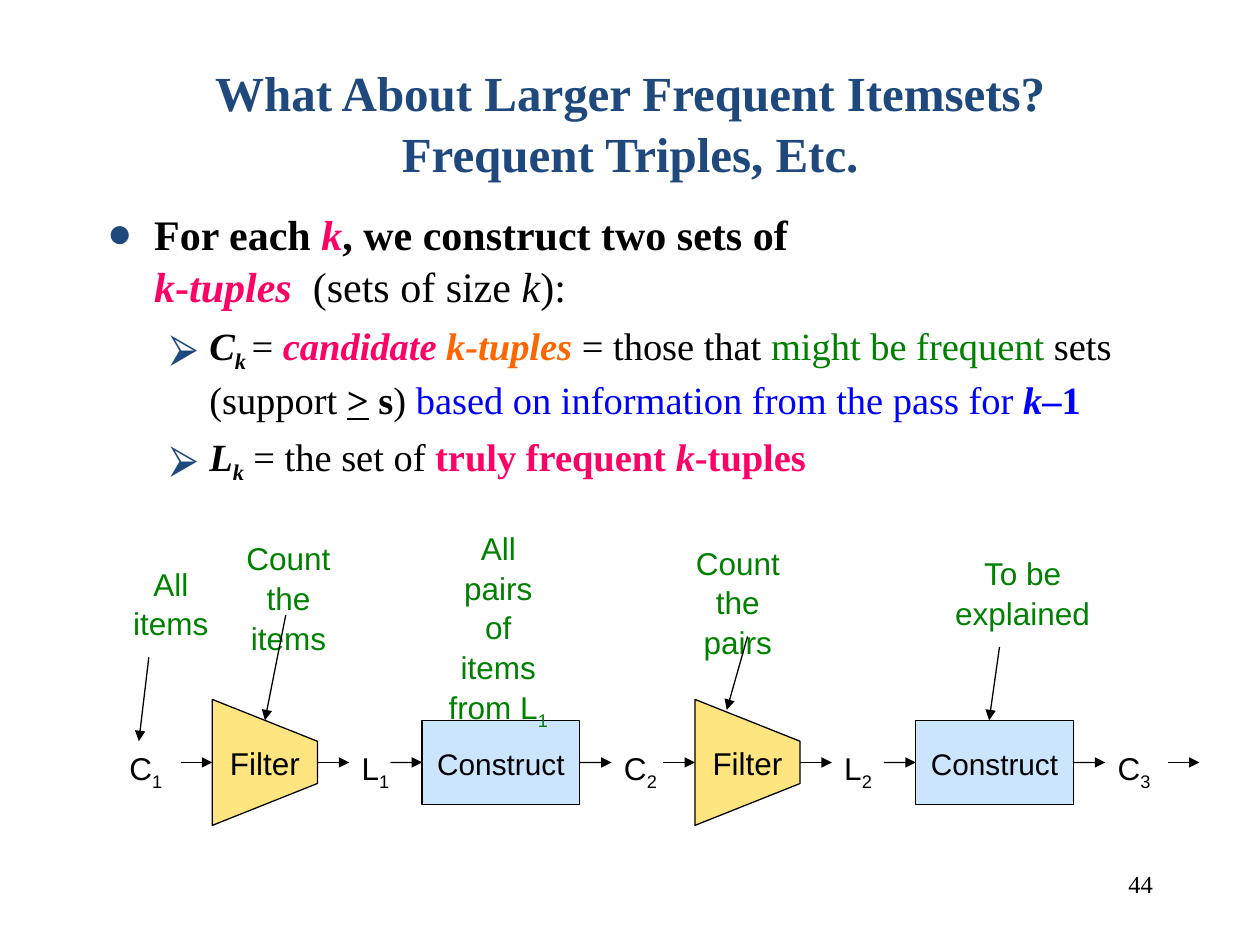
from lxml import etree
from pptx import Presentation
from pptx import util as u
from pptx.dml.color import RGBColor
from pptx.enum import shapes, text
from pptx.oxml.ns import qn

BLACK = RGBColor(0x00, 0x00, 0x00)
NAVY = RGBColor(0x1F, 0x49, 0x7D)
PINK = RGBColor(0xFF, 0x00, 0x66)
ORANGE = RGBColor(0xFF, 0x66, 0x00)
GREEN = RGBColor(0x00, 0x80, 0x00)
BLUE = RGBColor(0x00, 0x00, 0xFF)
YELLOW = RGBColor(0xFF, 0xCC, 0x00)
SKY = RGBColor(0x99, 0xCC, 0xFF)
SERIF, SANS = "Times New Roman", "Arial"

# Pipeline measures in centimetres
AXIS = 15.37
ARROW = 0.64
FILTER_WIDTH, FILTER_HEIGHT, FILTER_END = 2.12, 2.54, 0.85
CONSTRUCT_WIDTH, CONSTRUCT_HEIGHT = 3.18, 1.69

# Styles in the bullets: b bold, i italic, u underlined, s subscript
BULLETS = [
    (0, [("For each ", BLACK, "b"), ("k", PINK, "bi"),
         (", we construct two sets of\n", BLACK, "b"), ("k", PINK, "bi"),
         ("-", PINK, "b"), ("tuples  ", PINK, "bi"),
         ("(sets of size ", BLACK, ""), ("k", BLACK, "i"), ("):", BLACK, "")]),
    (1, [("C", BLACK, "bi"), ("k ", BLACK, "bis"), ("= ", BLACK, ""),
         ("candidate", PINK, "bi"), (" k-tuples ", ORANGE, "bi"),
         ("= those that ", BLACK, ""), ("might be frequent ", GREEN, ""),
         ("sets (support ", BLACK, ""), (">", BLACK, "bu"), (" s", BLACK, "b"),
         (") ", BLACK, ""), ("based on information from the pass for ", BLUE, ""),
         ("k", BLUE, "bi"), ("–1", BLUE, "b")]),
    (1, [("L", BLACK, "bi"), ("k", BLACK, "bis"), (" = the set of ", BLACK, ""),
         ("truly frequent ", PINK, "b"), ("k", PINK, "bi"), ("-tuples", PINK, "b")]),
]
# Per level: size, margin, indent, space before, bullet
LEVELS = [(24, 0.95, -0.95, 0, "●"), (22, 2.06, -0.79, 4.4, "⮚")]

# Lines, box (left, top, width, height), arrow (from x, y, to x, y)
CALLOUTS = [
    (["All", "items"], (2.12, 11.22, 2.65, 1.31), (3.0, 13.25, 2.8, 14.94)),
    (["Count", "the items"], (4.49, 10.71, 2.65, 2.65), (5.76, 12.4, 5.34, 14.52)),
    (["All pairs", "of items", "from L"], (8.72, 10.5, 2.65, 4.11), None),
    (["Count", "the pairs"], (13.55, 10.8, 2.65, 2.65), (15.07, 12.83, 14.65, 14.31)),
    (["To be", "explained"], (18.63, 11.01, 3.97, 1.31), (20.15, 13.04, 19.94, 14.52)),
]


def format_run(run, size, font, color, style=""):
    run.font.size = u.Pt(size)
    run.font.name = font
    run.font.color.rgb = color
    run.font.bold = "b" in style
    run.font.italic = "i" in style
    if "u" in style:
        run.font.underline = True
    if "s" in style:
        run._r.get_or_add_rPr().set("baseline", "-25000")


def add_subscript(paragraph, digit, color):
    run = paragraph.add_run()
    run.text = digit
    format_run(run, 18, SANS, color, "s")


def format_frame(frame, size, font, color, style="", align=text.PP_ALIGN.CENTER):
    frame.word_wrap = True
    for paragraph in frame.paragraphs:
        paragraph.alignment = align
        paragraph.line_spacing = 1.05
        for run in paragraph.runs:
            format_run(run, size, font, color, style)


def add_text(slide, words, box, size, font, color, **options):
    frame = slide.shapes.add_textbox(*map(u.Cm, box)).text_frame
    frame.text = words
    format_frame(frame, size, font, color, **options)
    return frame


def add_bullets(slide, box):
    frame = slide.shapes.add_textbox(*map(u.Cm, box)).text_frame
    frame.word_wrap = True
    for index, (level, pieces) in enumerate(BULLETS):
        paragraph = frame.add_paragraph() if index else frame.paragraphs[0]
        size, margin, indent, before, bullet = LEVELS[level]
        paragraph.level = level
        paragraph.line_spacing = 1.05
        paragraph.space_before = u.Pt(before)
        properties = paragraph._p.get_or_add_pPr()
        properties.set("marL", str(u.Cm(margin)))
        properties.set("indent", str(u.Cm(indent)))
        color = etree.SubElement(properties, qn("a:buClr"))
        etree.SubElement(color, qn("a:srgbClr"), val=str(NAVY))
        etree.SubElement(properties, qn("a:buFont"), typeface=SANS)
        etree.SubElement(properties, qn("a:buChar"), char=bullet)
        for words, color, style in pieces:
            run = paragraph.add_run()
            run.text = words.rstrip("\n")
            format_run(run, size, SERIF, color, style)
            if words.endswith("\n"):
                paragraph.add_line_break()


def add_arrow(slide, *points):
    arrow = slide.shapes.add_connector(
        shapes.MSO_CONNECTOR.STRAIGHT, *map(u.Cm, points))
    arrow.line.color.rgb = BLACK
    arrow.line.width = u.Pt(0.75)
    etree.SubElement(arrow.line._get_or_add_ln(), qn("a:tailEnd"), type="triangle")
    etree.SubElement(arrow._element.spPr, qn("a:effectLst"))
    return arrow


def style_stage(shape, words, size, fill):
    shape.shadow.inherit = False
    shape.fill.solid()
    shape.fill.fore_color.rgb = fill
    color = shape._element.spPr.find(qn("a:solidFill"))[0]
    etree.SubElement(color, qn("a:alpha"), val="50000")
    shape.line.color.rgb = BLACK
    shape.line.width = u.Pt(0.75)
    shape.text_frame.text = words
    shape.text_frame.vertical_anchor = text.MSO_ANCHOR.MIDDLE
    format_frame(shape.text_frame, size, SANS, BLACK)


def add_set_label(slide, left, letter, digit):
    width = 1.22 if letter == "C" else 1.12
    frame = add_text(slide, letter, (left, 14.94, width, 1.02), 18, SANS, BLACK,
                     align=text.PP_ALIGN.LEFT)
    add_subscript(frame.paragraphs[0], digit, BLACK)


def add_filter(slide, left, digit):
    right = left + FILTER_WIDTH
    outline = [(left, AXIS + FILTER_HEIGHT / 2), (right, AXIS + FILTER_END / 2),
               (right, AXIS - FILTER_END / 2), (left, AXIS - FILTER_HEIGHT / 2)]
    corners = [(u.Cm(x), u.Cm(y)) for x, y in outline]
    builder = slide.shapes.build_freeform(*corners[0])
    builder.add_line_segments(corners[1:], close=True)
    style_stage(builder.convert_to_shape(), "Filter", 18, YELLOW)
    add_arrow(slide, left - ARROW, AXIS, left, AXIS)
    add_arrow(slide, right, AXIS, right + ARROW, AXIS)
    add_set_label(slide, right + ARROW, "L", digit)


def add_construct(slide, left, digit):
    right = left + CONSTRUCT_WIDTH
    box = (left, AXIS - CONSTRUCT_HEIGHT / 2, CONSTRUCT_WIDTH, CONSTRUCT_HEIGHT)
    shape = slide.shapes.add_shape(shapes.MSO_SHAPE.RECTANGLE, *map(u.Cm, box))
    style_stage(shape, "Construct", 17, SKY)
    add_arrow(slide, left - ARROW, AXIS, left, AXIS).end_connect(shape, 1)
    add_arrow(slide, right, AXIS, right + ARROW, AXIS).begin_connect(shape, 3)
    add_set_label(slide, right + ARROW, "C", digit)


def main():
    presentation = Presentation()
    presentation.slide_width, presentation.slide_height = u.Cm(25.4), u.Cm(19.05)
    slide = presentation.slides.add_slide(presentation.slide_layouts[6])

    # Title, bullets and slide number
    title = add_text(slide,
                     "What About Larger Frequent Itemsets?\vFrequent Triples, Etc.",
                     (1.91, 0.85, 21.59, 3.18), 28, SERIF, NAVY, style="b")
    title.vertical_anchor = text.MSO_ANCHOR.MIDDLE
    add_bullets(slide, (1.91, 4.02, 21.59, 12.91))
    add_text(slide, "44", (18.2, 17.36, 5.29, 1.27), 14, SERIF, BLACK,
             align=text.PP_ALIGN.RIGHT)

    # Pipeline
    add_set_label(slide, 2.36, "C", "1")
    add_filter(slide, 4.28, "1")
    add_construct(slide, 8.51, "2")
    add_filter(slide, 14.01, "2")
    add_construct(slide, 18.46, "3")
    add_arrow(slide, 23.54, AXIS, 23.54 + ARROW, AXIS)

    # Callouts
    for lines, box, arrow in CALLOUTS:
        frame = add_text(slide, "\n".join(lines), box, 18, SANS, GREEN)
        if lines[-1] == "from L":
            add_subscript(frame.paragraphs[-1], "1", GREEN)
        if arrow:
            add_arrow(slide, *arrow)

    presentation.save("out.pptx")


if __name__ == "__main__":
    main()
